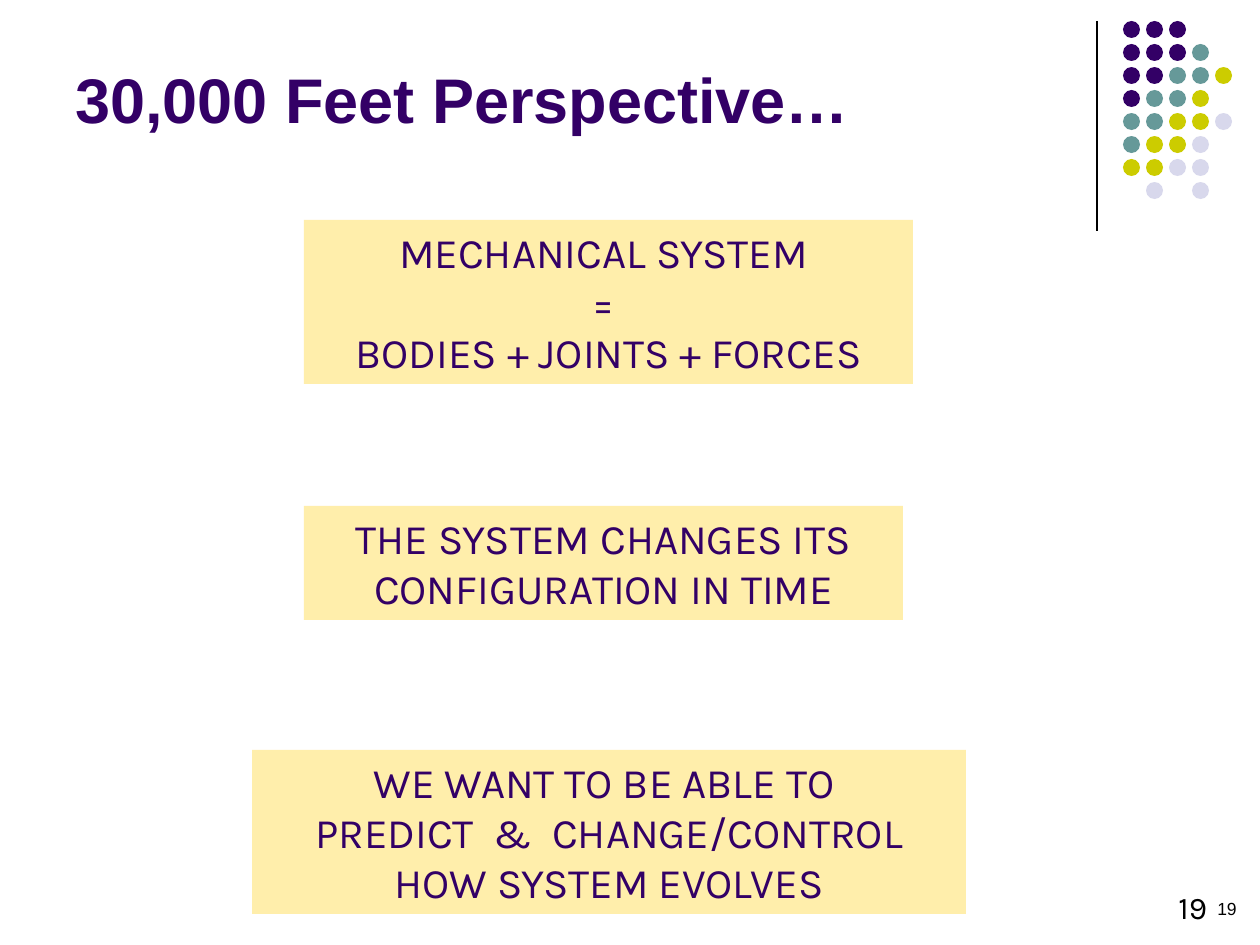
import pptx
import pptx.util
import pptx.dml.color
import pptx.enum.shapes
import pptx.enum.text
import lxml.etree

PX = 914400 / 126
HUES = {"plum": "330066", "teal": "669999", "lime": "CCCC00",
        "mist": "D8D8EC", "gold": "FFCC00", "black": "000000"}
KIND = pptx.enum.shapes.MSO_SHAPE
SIDE = pptx.enum.text.PP_ALIGN
EDGE = pptx.enum.text.MSO_ANCHOR


def px(*sizes):
    """Turn px lengths into EMU."""
    return [pptx.util.Emu(round(size * PX)) for size in sizes]


def write(shape, lines, size, face, hue, side=SIDE.LEFT, bold=False, edge=EDGE.TOP):
    """Fill a shape with one paragraph, with a line break between lines."""
    frame = shape.text_frame
    frame.word_wrap = True
    frame.vertical_anchor = edge
    para = frame.paragraphs[0]
    para.alignment = side
    for i, line in enumerate(lines):
        if i:
            para.add_line_break()
        run = para.add_run()
        run.text = line
        run.font.size = pptx.util.Pt(size)
        run.font.name = face
        run.font.bold = bold
        run.font.color.rgb = pptx.dml.color.RGBColor.from_string(HUES[hue])


deck = pptx.Presentation()
deck.slide_width, deck.slide_height = px(1260, 945)
slide = deck.slides.add_slide(deck.slide_layouts[6])
shapes = slide.shapes

# Rule beside the dots
rule = shapes.add_connector(pptx.enum.shapes.MSO_CONNECTOR.STRAIGHT,
                            *px(1097, 21, 1097, 231))
rule.line.width = pptx.util.Pt(0.75)
rule.line.color.rgb = pptx.dml.color.RGBColor.from_string(HUES["black"])
props = rule._element.spPr
lxml.etree.SubElement(props, pptx.oxml.ns.qn("a:effectLst"))

# Dot grid: one letter per dot, a space where there is none
dots = ["PPP", "PPPT", "PPTTL", "PTTL", "TTLLM", "TLLM", "LLMM", " M M"]
marks = {"P": "plum", "T": "teal", "L": "lime", "M": "mist"}
for row, line in enumerate(dots):
    for col, mark in enumerate(line):
        if mark == " ":
            continue
        dot = shapes.add_shape(KIND.OVAL, *px(1123 + 23 * col, 21 + 23 * row, 17, 17))
        dot.shadow.inherit = False
        dot.fill.solid()
        dot.fill.fore_color.rgb = pptx.dml.color.RGBColor.from_string(HUES[marks[mark]])
        dot.line.fill.background()

title = shapes.add_textbox(*px(63, 32, 903, 110))
write(title, ["30,000 Feet Perspective…"], 36, "Arial", "plum",
      bold=True, edge=EDGE.BOTTOM)

# Gold panels
panels = [
    ((304, 220, 609, 164),
     ["MECHANICAL SYSTEM ", "= ", "BODIES + JOINTS + FORCES"]),
    ((304, 506, 599, 114),
     ["THE SYSTEM CHANGES ITS CONFIGURATION IN TIME"]),
    ((252, 750, 714, 164),
     ["WE WANT TO BE ABLE TO ", "PREDICT  &  CHANGE/CONTROL HOW SYSTEM EVOLVES"]),
]
for place, lines in panels:
    panel = shapes.add_shape(KIND.RECTANGLE, *px(*place))
    panel.shadow.inherit = False
    panel.fill.solid()
    panel.fill.fore_color.rgb = pptx.dml.color.RGBColor.from_string(HUES["gold"])
    shade = panel._element.spPr.find(".//" + pptx.oxml.ns.qn("a:srgbClr"))
    lxml.etree.SubElement(shade, pptx.oxml.ns.qn("a:alpha"), val="33000")
    panel.line.fill.background()
    write(panel, lines, 24, "Karla", "plum", side=SIDE.CENTER)

# Page numbers
write(shapes.add_textbox(*px(1166, 882, 84, 55)), ["19"], 18, "Karla", "black")
write(shapes.add_textbox(*px(1144, 892, 105, 42)), ["19"], 10, "Arial", "black",
      side=SIDE.RIGHT)

deck.save("out.pptx")
